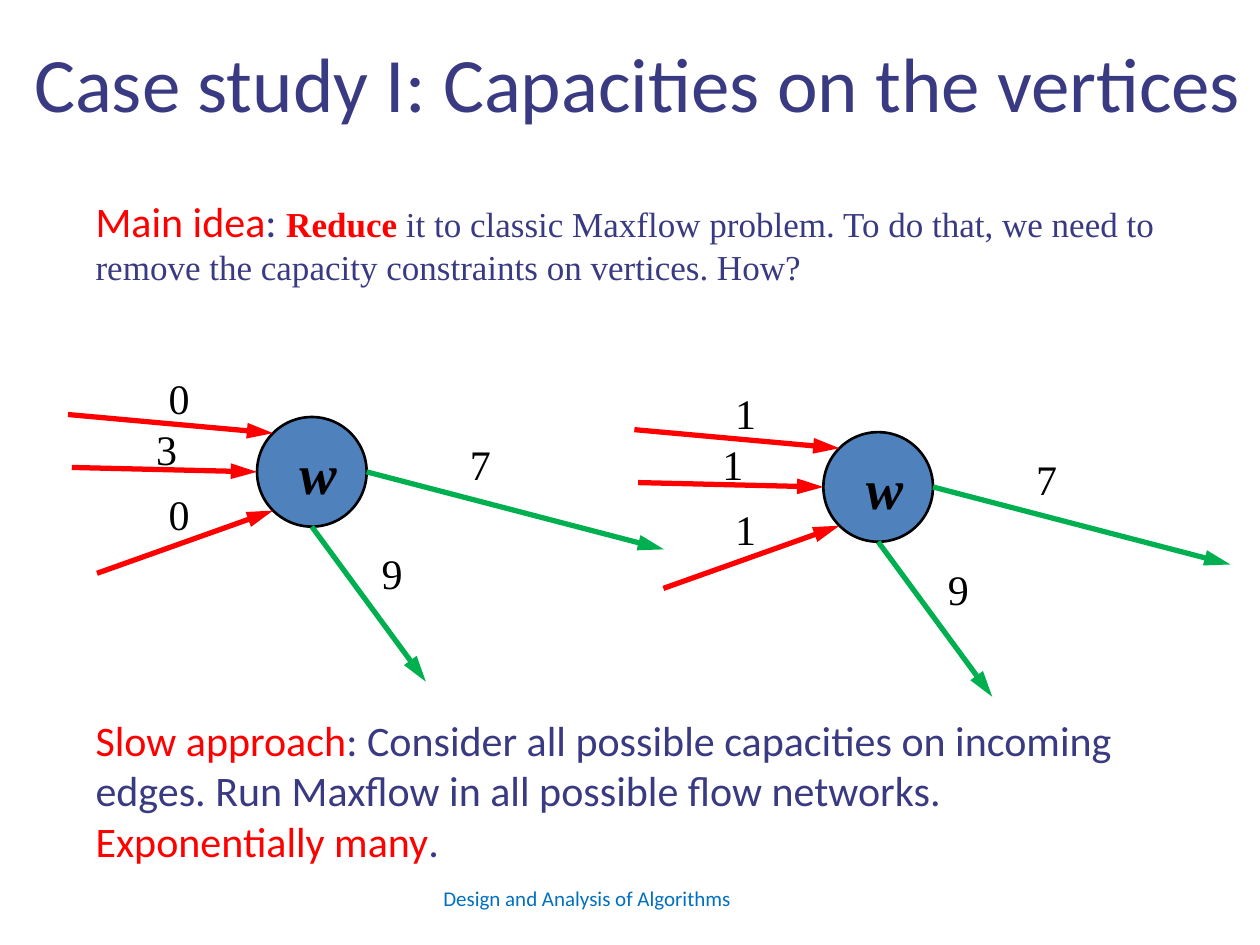
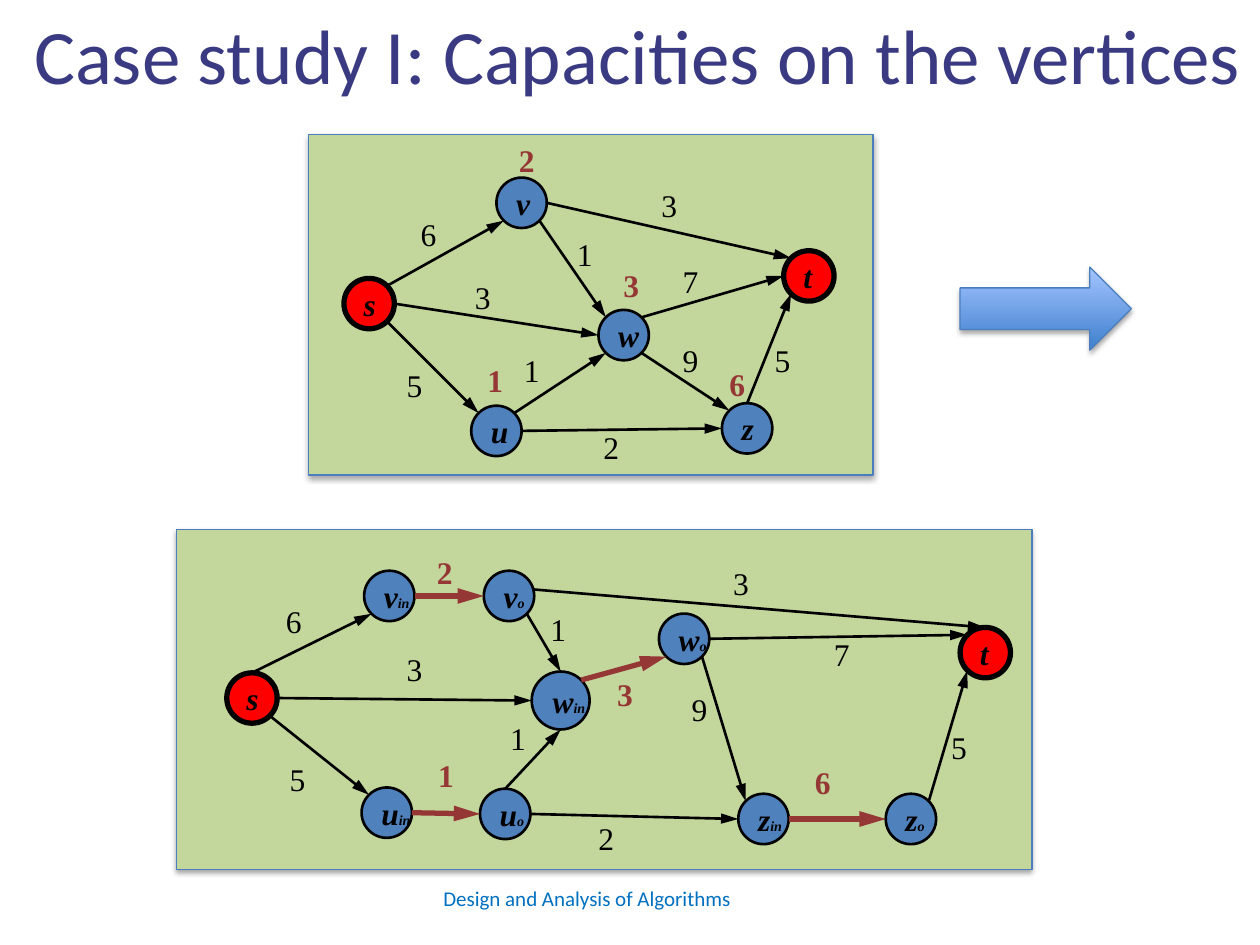
import math
from dataclasses import dataclass

import pptx
import pptx.dml.color
import pptx.enum.shapes
import pptx.enum.text
import pptx.oxml
import pptx.util

Pt = pptx.util.Pt
RGB = pptx.dml.color.RGBColor.from_string
SHAPE = pptx.enum.shapes.MSO_SHAPE
ALIGN = pptx.enum.text.PP_ALIGN
ANCHOR = pptx.enum.text.MSO_ANCHOR
NS = 'xmlns:a="http://schemas.openxmlformats.org/drawingml/2006/main"'
CELL = pptx.util.Inches(0.1)
COLS, ROWS = 100, 75


@dataclass(frozen=True)
class Theme:
    sans: str = "Calibri"
    serif: str = "Times New Roman"
    navy: str = "3A3A82"
    red: str = "FF0000"
    black: str = "000000"
    footer: str = "0070C0"
    node: str = "4F81BD"
    outflow: str = "00B050"
    capacity: str = "953735"
    panel: str = "C3D69B"
    border: str = "4B7EBC"
    arrow_dark: str = "3F80CE"
    arrow_light: str = "A4C4FF"
    title_size: int = 44
    node_size: int = 32
    text_size: int = 24
    serif_size: int = 20
    label_size: int = 18
    footer_size: int = 12
    sub_size: int = 8
    thin: float = 1.5
    thick: float = 3
    hairline: float = 0.75


T = Theme()


@dataclass(frozen=True)
class Box:
    x: float
    y: float
    w: float
    h: float

    def sub(self, x, y, w, h):
        return Box(self.x + x, self.y + y, w, h)

    def point(self, x, y):
        return self.x + x, self.y + y

    def rim(self, direction):
        angle = math.radians(COMPASS[direction])
        return (self.x + self.w / 2 * (1 + math.cos(angle)),
                self.y + self.h / 2 * (1 - math.sin(angle)))

    def emu(self):
        return emu(self.x, self.y, self.w, self.h)


COMPASS = {"e": 0, "ene": 15, "ne": 45, "n": 90, "nw": 135,
           "w": 180, "sw": 225, "s": 270, "se": 315}


def emu(*cells):
    return [round(c * CELL) for c in cells]


def style(size, color, name=T.serif, bold=False, italic=False):
    return {"size": Pt(size), "name": name, "bold": bold, "italic": italic, "rgb": RGB(color)}


TITLE = style(T.title_size, T.navy, T.sans)
FOOTER = style(T.footer_size, T.footer, T.sans)
PLAIN = style(T.text_size, T.navy, T.sans)
KEY = style(T.text_size, T.red, T.sans)
SERIF = style(T.serif_size, T.navy)
SERIF_KEY = style(T.serif_size, T.red, bold=True)
FLOW = style(T.text_size, T.black)
LABEL = style(T.label_size, T.black)
CAPACITY = style(T.label_size, T.capacity, bold=True)
BIG_NODE = style(T.node_size, T.black, bold=True, italic=True)
NODE = style(T.label_size, T.black, bold=True, italic=True)
SUB = style(T.sub_size, T.black, bold=True, italic=True)


def set_attrs(obj, values):
    for name, value in values.items():
        setattr(obj, name, value)


def add_runs(p, runs):
    for text, fmt in runs:
        r = p.add_run()
        r.text = text
        set_attrs(r.font, {k: v for k, v in fmt.items() if k != "rgb"})
        r.font.color.rgb = fmt["rgb"]


def add_text(s, box, *paragraphs):
    tf = s.shapes.add_textbox(*box.emu()).text_frame
    tf.word_wrap = True
    for i, runs in enumerate(paragraphs):
        add_runs(tf.add_paragraph() if i else tf.paragraphs[0], runs)


def add_shape(s, kind, box, fill, line, width):
    sp = s.shapes.add_shape(kind, *box.emu())
    sp.shadow.inherit = False
    if fill:
        sp.fill.solid()
        sp.fill.fore_color.rgb = RGB(fill)
    sp.line.color.rgb = RGB(line)
    sp.line.width = Pt(width)
    return sp


def add_shadow(sp):
    effects = sp._element.spPr.find(pptx.oxml.ns.qn("a:effectLst"))
    effects.append(pptx.oxml.parse_xml(
        f'<a:outerShdw {NS} blurRad="{Pt(3.1)}" dist="{Pt(1.8)}" dir="5400000" rotWithShape="0">'
        f'<a:srgbClr val="{T.black}"><a:alpha val="35000"/></a:srgbClr></a:outerShdw>'))


def add_node(s, box, runs, fill=T.node, width=T.thin, indent=1):
    sp = add_shape(s, SHAPE.OVAL, box, fill, T.black, width)
    tf = sp.text_frame
    set_attrs(tf, {"word_wrap": False, "vertical_anchor": ANCHOR.MIDDLE,
                   "margin_left": emu(indent)[0]})
    tf.paragraphs[0].alignment = ALIGN.LEFT
    add_runs(tf.paragraphs[0], runs)


def add_arrow(s, start, end, color, width):
    cx = s.shapes.add_connector(pptx.enum.shapes.MSO_CONNECTOR.STRAIGHT, *emu(*start, *end))
    cx.line.color.rgb = RGB(color)
    cx.line.width = Pt(width)
    cx.line._get_or_add_ln().append(
        pptx.oxml.parse_xml(f'<a:tailEnd {NS} type="triangle" w="med" len="lg"/>'))
    cx._element.spPr.append(pptx.oxml.parse_xml(f"<a:effectLst {NS}/>"))


def add_slide(prs, title_row):
    s = prs.slides.add_slide(prs.slide_layouts[5])
    title = s.shapes.title
    box = Box(0, title_row, 101.3, 6.3)
    set_attrs(title, dict(zip(("left", "top", "width", "height"), box.emu())))
    tf = title.text_frame
    set_attrs(tf, {"word_wrap": True, "vertical_anchor": ANCHOR.TOP,
                   "auto_size": pptx.enum.text.MSO_AUTO_SIZE.NONE})
    set_attrs(tf, {f"margin_{side}": CELL for side in ("left", "top", "right", "bottom")})
    tf.paragraphs[0].alignment = ALIGN.CENTER
    add_runs(tf.paragraphs[0], [("Case study I: Capacities on the vertices", TITLE)])
    add_text(s, Box(34.2, 69.8, 31.7, 4), [("Design and Analysis of Algorithms", FOOTER)])
    return s


INFLOWS = [((0, 3.8), "nw", (7, 0)), ((0.3, 8), "w", (6, 4)), ((2.3, 16.4), "sw", (7, 9.2))]
OUTFLOWS = [("e", (47.3, 14.5), "7", (30.9, 5.2)), ("s", (28.4, 25), "9", (23.9, 13.9))]


def draw_vertex_flow(s, box, inflow_values):
    vertex = box.sub(15, 4, 8.7, 8.7)
    add_node(s, vertex, [("w", BIG_NODE)], indent=2.1)
    arrows, labels = [], []
    for value, (start, side, spot) in zip(inflow_values, INFLOWS):
        arrows.append((box.point(*start), vertex.rim(side), T.red))
        labels.append((value, spot))
    for side, end, value, spot in OUTFLOWS:
        arrows.append((vertex.rim(side), box.point(*end), T.outflow))
        labels.append((value, spot))
    for start, end, color in arrows:
        add_arrow(s, start, end, color, T.thick)
    for value, spot in labels:
        add_text(s, box.sub(*spot, 4.5, 5), [(value, FLOW)])


def draw_network(s, box, nodes, edges, capacities=()):
    add_shadow(add_shape(s, SHAPE.RECTANGLE, box, T.panel, T.border, T.hairline))
    places = {}
    for name, (x, y, *size) in nodes.items():
        d = size[0] if size else 4
        places[name] = box.sub(x, y, d, d)
        runs = [(name[0], NODE)] + ([(name[1:], SUB)] if name[1:] else [])
        terminal = name in ("s", "t")
        add_node(s, places[name], runs, *((T.red, T.thick) if terminal else ()))
    labels = [(value, spot, CAPACITY) for value, spot in capacities]
    for tail, leave, head, enter, value, spot in edges:
        split = tail[0] == head[0]
        add_arrow(s, places[tail].rim(leave), places[head].rim(enter),
                  *((T.capacity, T.thick) if split else (T.black, T.thin)))
        labels.append((value, spot, CAPACITY if split else LABEL))
    for value, spot, fmt in labels:
        add_text(s, box.sub(*spot, 3.3, 4), [(value, fmt)])


def draw_block_arrow(s, box):
    sp = add_shape(s, SHAPE.RIGHT_ARROW, box, None, T.border, T.hairline)
    sp.fill.gradient()
    sp.fill.gradient_angle = 90
    for stop, color in zip(sp.fill.gradient_stops, (T.arrow_dark, T.arrow_light)):
        stop.color.rgb = RGB(color)
    add_shadow(sp)


VERTEX_NODES = {"w": (23, 13.9), "s": (2.8, 11.4), "v": (14.9, 3.4),
                "u": (12.9, 21.5), "t": (37.7, 9.2), "z": (32.8, 21.3)}
VERTEX_EDGES = [
    ("s", "ne", "v", "sw", "6", (7.9, 5.9)),
    ("s", "se", "u", "nw", "5", (6.8, 17.9)),
    ("s", "e", "w", "w", "3", (12.2, 10.9)),
    ("v", "se", "w", "nw", "1", (20.3, 7.5)),
    ("v", "e", "t", "nw", "3", (27, 3.6)),
    ("w", "ne", "t", "w", "7", (28.7, 9.6)),
    ("w", "se", "z", "nw", "9", (28.7, 15.9)),
    ("z", "n", "t", "sw", "5", (36, 15.9)),
    ("u", "e", "z", "w", "2", (22.4, 22.8)),
    ("u", "ne", "w", "sw", "1", (16.1, 16.7)),
]
VERTEX_CAPACITIES = [("2", (15.7, 0)), ("3", (24, 9.9)), ("1", (13.2, 17.5)), ("6", (32.4, 17.8))]

SPLIT_NODES = {"s": (4, 11.4), "t": (62.2, 7.8), "uin": (14.7, 20.5), "uo": (24.1, 20.6),
               "vin": (14.9, 3.3), "vo": (24.4, 3.3), "zin": (44.6, 21), "zo": (56.3, 21),
               "win": (28.2, 11.3, 4.6), "wo": (38.3, 6.7)}
SPLIT_EDGES = [
    ("s", "n", "vin", "sw", "6", (7.7, 5.3)),
    ("s", "se", "uin", "nw", "5", (8, 17.8)),
    ("s", "e", "win", "w", "3", (17.3, 9.1)),
    ("uin", "e", "uo", "w", "1", (19.8, 17.5)),
    ("vin", "e", "vo", "w", "2", (19.7, 1.4)),
    ("win", "ne", "wo", "sw", "3", (34, 11.1)),
    ("zin", "e", "zo", "w", "6", (49.7, 18.1)),
    ("uo", "n", "win", "s", "1", (25.5, 14.6)),
    ("vo", "se", "win", "n", "1", (28.7, 5.9)),
    ("zo", "ne", "t", "sw", "5", (60.5, 15.3)),
    ("uo", "e", "zin", "w", "2", (32.5, 22.5)),
    ("wo", "se", "zin", "nw", "9", (39.9, 12.3)),
    ("wo", "e", "t", "nw", "7", (51.2, 7.9)),
    ("vo", "ene", "t", "n", "3", (43.2, 2.3)),
]


def build_idea_slide(prs):
    s = add_slide(prs, 1.8)
    add_text(s, Box(6.6, 15, 88.2, 8.4), [
        ("Main idea", KEY), (": ", PLAIN), ("Reduce", SERIF_KEY),
        (" it to classic Maxflow problem. To do that, we need to remove the "
         "capacity constraints on vertices. How?", SERIF)])
    add_text(s, Box(6.6, 56.2, 88.2, 13),
             [("Slow approach", KEY),
              (": Consider all possible capacities on incoming edges. "
               "Run Maxflow in all possible flow networks.", PLAIN)],
             [("Exponentially many", KEY), (".", PLAIN)])
    for i, values in enumerate(("030", "111")):
        draw_vertex_flow(s, Box(5.4 + 44.95 * i, 29.1 + 1.2 * i, 47.3, 25), values)


def build_reduction_slide(prs):
    s = add_slide(prs, -0.4)
    draw_network(s, Box(24.5, 10.7, 44.8, 27), VERTEX_NODES, VERTEX_EDGES, VERTEX_CAPACITIES)
    draw_network(s, Box(14, 42, 67.9, 27), SPLIT_NODES, SPLIT_EDGES)
    draw_block_arrow(s, Box(76.2, 21.2, 13.6, 6.6))


def main():
    prs = pptx.Presentation()
    prs.slide_width, prs.slide_height = emu(COLS, ROWS)
    build_idea_slide(prs)
    build_reduction_slide(prs)
    prs.save("out.pptx")


if __name__ == "__main__":
    main()
